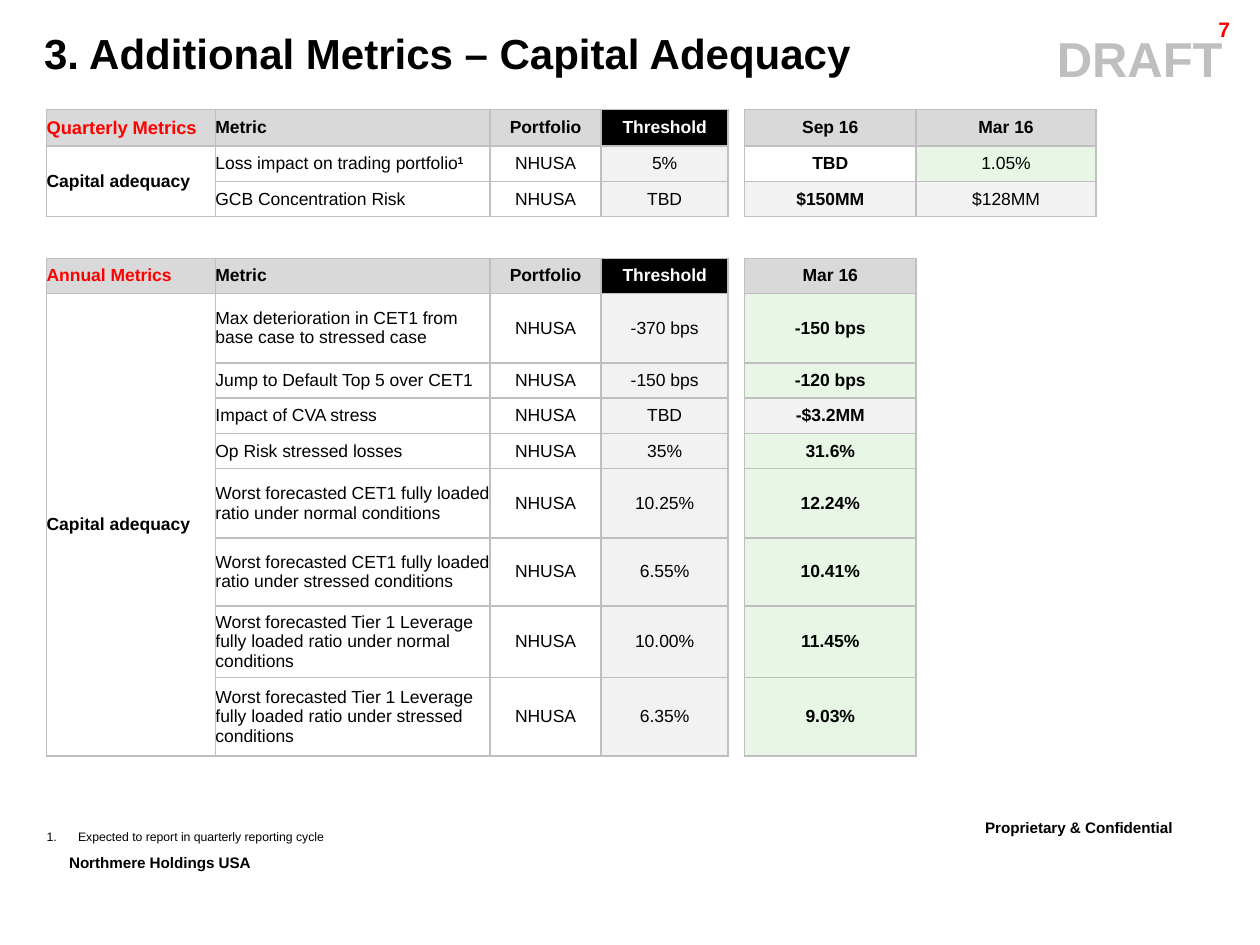
from lxml import etree
from pptx import Presentation
from pptx.dml.color import RGBColor
from pptx.enum.text import MSO_ANCHOR, PP_ALIGN
from pptx.oxml.ns import qn
from pptx.util import Inches, Pt

LEFT, CENTER, RIGHT = PP_ALIGN.LEFT, PP_ALIGN.CENTER, PP_ALIGN.RIGHT
MIDDLE = MSO_ANCHOR.MIDDLE
BLACK = RGBColor(0x00, 0x00, 0x00)
WHITE = RGBColor(0xFF, 0xFF, 0xFF)
RED = RGBColor(0xFF, 0x00, 0x00)
HEADER_GREY = RGBColor(0xD9, 0xD9, 0xD9)
PALE_GREY = RGBColor(0xF2, 0xF2, 0xF2)
GREEN = RGBColor(0xE8, 0xF6, 0xE6)
BORDER_GREY = RGBColor(0xBF, 0xBF, 0xBF)
NO_GRID_STYLE = "{2D5ABB26-0587-4C30-8999-92F81FD0307C}"

ENTITY = "NHUSA"
COLUMN_WIDTHS = [1.34, 2.18, 0.88, 1.01, 0.13, 1.36, 1.43]
ROW_HEIGHTS = [0.29, 0.28, 0.28, 0.33, 0.28, 0.55, 0.28, 0.28, 0.28, 0.55, 0.54, 0.57, 0.62]
RESULT_COLUMN = 5
QUARTERLY = [
    ("Loss impact on trading portfolio", "5%", [("TBD", None), ("1.05%", GREEN)]),
    ("GCB Concentration Risk", "TBD", [("$150MM", PALE_GREY), ("$128MM", PALE_GREY)]),
]
ANNUAL = [
    ("Max deterioration in CET1 from base case to stressed case", "-370 bps", [("-150 bps", GREEN)]),
    ("Jump to Default Top 5 over CET1", "-150 bps", [("-120 bps", GREEN)]),
    ("Impact of CVA stress", "TBD", [("-$3.2MM", PALE_GREY)]),
    ("Op Risk stressed losses", "35%", [("31.6%", GREEN)]),
    ("Worst forecasted CET1 fully loaded ratio under normal conditions", "10.25%", [("12.24%", GREEN)]),
    ("Worst forecasted CET1 fully loaded ratio under stressed conditions", "6.55%", [("10.41%", GREEN)]),
    ("Worst forecasted Tier 1 Leverage fully loaded ratio under normal conditions", "10.00%",
     [("11.45%", GREEN)]),
    ("Worst forecasted Tier 1 Leverage fully loaded ratio under stressed conditions", "6.35%",
     [("9.03%", GREEN)]),
]


def add_run(paragraph, text, size, color=BLACK, bold=False, raised=False):
    """Add one Arial run, optionally raised above the baseline."""
    run = paragraph.add_run()
    run.text = text
    run.font.name = "Arial"
    run.font.size = Pt(size)
    run.font.bold = bold
    run.font.color.rgb = color
    if raised:
        run.font._element.set("baseline", "30000")


def add_label(slide, box, text, size, color=BLACK, align=LEFT, raised=False, wrap=True):
    """Add a bold one-line label and return its paragraph."""
    frame = slide.shapes.add_textbox(*map(Inches, box)).text_frame
    frame.word_wrap = wrap
    paragraph = frame.paragraphs[0]
    paragraph.alignment = align
    add_run(paragraph, text, size, color, True, raised)
    return paragraph


def add_title(slide, box, text):
    """Place the slide title in the title placeholder."""
    title = slide.shapes.title
    title.left, title.top, title.width, title.height = map(Inches, box)
    title.text_frame.vertical_anchor = MIDDLE
    paragraph = title.text_frame.paragraphs[0]
    paragraph.alignment = LEFT
    add_run(paragraph, text, 24, bold=True)


def add_footnote(slide, box, text):
    """Add the numbered footnote."""
    frame = slide.shapes.add_textbox(*map(Inches, box)).text_frame
    frame.word_wrap = True
    frame.margin_left = frame.margin_top = frame.margin_right = frame.margin_bottom = 0
    paragraph = frame.paragraphs[0]
    properties = paragraph._p.get_or_add_pPr()
    properties.set("marL", str(Inches(0.25)))
    properties.set("indent", str(Inches(-0.25)))
    etree.SubElement(properties, qn("a:buAutoNum"), type="arabicPeriod")
    add_run(paragraph, text, 7)


def border_cell(cell):
    """Draw a thin grey line on all four sides of a cell."""
    properties = cell._tc.get_or_add_tcPr()
    for position, side in enumerate(("a:lnL", "a:lnR", "a:lnT", "a:lnB")):
        line = etree.Element(qn(side), w=str(Pt(1)))
        fill = etree.SubElement(line, qn("a:solidFill"))
        etree.SubElement(fill, qn("a:srgbClr"), val=str(BORDER_GREY))
        properties.insert(position, line)


def fill_cell(cell, text, fill=None, color=BLACK, bold=False, align=CENTER, size=10):
    """Write, colour and border one table cell."""
    paragraph = cell.text_frame.paragraphs[0]
    paragraph.alignment = align
    add_run(paragraph, text, size, color, bold)
    if fill is not None:
        cell.fill.solid()
        cell.fill.fore_color.rgb = fill
    border_cell(cell)


def fill_section(table, top, heading, heading_size, periods, metrics):
    """Fill a header row and its metric rows, starting at the given row."""
    fill_cell(table.cell(top, 0), heading, HEADER_GREY, RED, True, LEFT, heading_size)
    fill_cell(table.cell(top, 1), "Metric", HEADER_GREY, bold=True, align=LEFT)
    fill_cell(table.cell(top, 2), "Portfolio", HEADER_GREY, bold=True)
    fill_cell(table.cell(top, 3), "Threshold", BLACK, WHITE, True)
    for column, period in enumerate(periods, RESULT_COLUMN):
        fill_cell(table.cell(top, column), period, HEADER_GREY, bold=True)
    for row, (metric, threshold, results) in enumerate(metrics, top + 1):
        fill_cell(table.cell(row, 1), metric, align=LEFT)
        fill_cell(table.cell(row, 2), ENTITY)
        fill_cell(table.cell(row, 3), threshold, PALE_GREY)
        for column, (result, status) in enumerate(results, RESULT_COLUMN):
            fill_cell(table.cell(row, column), result, status, bold=column == RESULT_COLUMN)
        if row > top + 1:
            border_cell(table.cell(row, 0))
    category = table.cell(top + 1, 0)
    fill_cell(category, "Capital adequacy", bold=True, align=LEFT)
    category.merge(table.cell(top + len(metrics), 0))


def add_metrics_table(slide, left, top):
    """Add the table of quarterly and annual metrics."""
    frame = slide.shapes.add_table(
        len(ROW_HEIGHTS), len(COLUMN_WIDTHS), Inches(left), Inches(top),
        Inches(sum(COLUMN_WIDTHS)), Inches(sum(ROW_HEIGHTS)))
    table = frame.table
    table.first_row = table.horz_banding = False
    table._tbl.tblPr.find(qn("a:tableStyleId")).text = NO_GRID_STYLE
    for column, width in zip(table.columns, COLUMN_WIDTHS):
        column.width = Inches(width)
    for row, height in zip(table.rows, ROW_HEIGHTS):
        row.height = Inches(height)
    for cell in table.iter_cells():
        cell.margin_left = cell.margin_top = cell.margin_right = cell.margin_bottom = 0
        cell.vertical_anchor = MIDDLE
        cell.fill.background()
        etree.SubElement(cell.text_frame.paragraphs[0]._p, qn("a:endParaRPr"), sz="1000")
    fill_section(table, 0, "Quarterly Metrics", 10.5, ["Sep 16", "Mar 16"], QUARTERLY)
    fill_section(table, 4, "Annual Metrics", 10, ["Mar 16"], ANNUAL)
    add_run(table.cell(1, 1).text_frame.paragraphs[0], "1", 10, bold=True, raised=True)


def main():
    """Build the capital adequacy slide."""
    presentation = Presentation()
    presentation.slide_width, presentation.slide_height = Inches(10), Inches(7.5)
    slide = presentation.slides.add_slide(presentation.slide_layouts[5])
    add_label(slide, (7.72, 6.42, 2.18, 0.35), "Proprietary & Confidential", 15, raised=True)
    add_label(slide, (0.45, 6.7, 1.91, 0.35), "Northmere Holdings USA", 15, raised=True, wrap=False)
    add_label(slide, (8.15, 0.18, 1.79, 0.57), "DRAFT", 28, BORDER_GREY, CENTER)
    page_number = add_label(slide, (8.91, 0.11, 0.95, 0.24), "7", 12, RED, RIGHT)
    page_number.line_spacing = 0.86
    add_title(slide, (0.25, 0.17, 9.35, 0.5), "3. Additional Metrics – Capital Adequacy")
    add_footnote(slide, (0.37, 6.58, 5.21, 0.12), "Expected to report in quarterly reporting cycle")
    add_metrics_table(slide, 0.37, 0.87)
    presentation.save("out.pptx")


if __name__ == "__main__":
    main()
